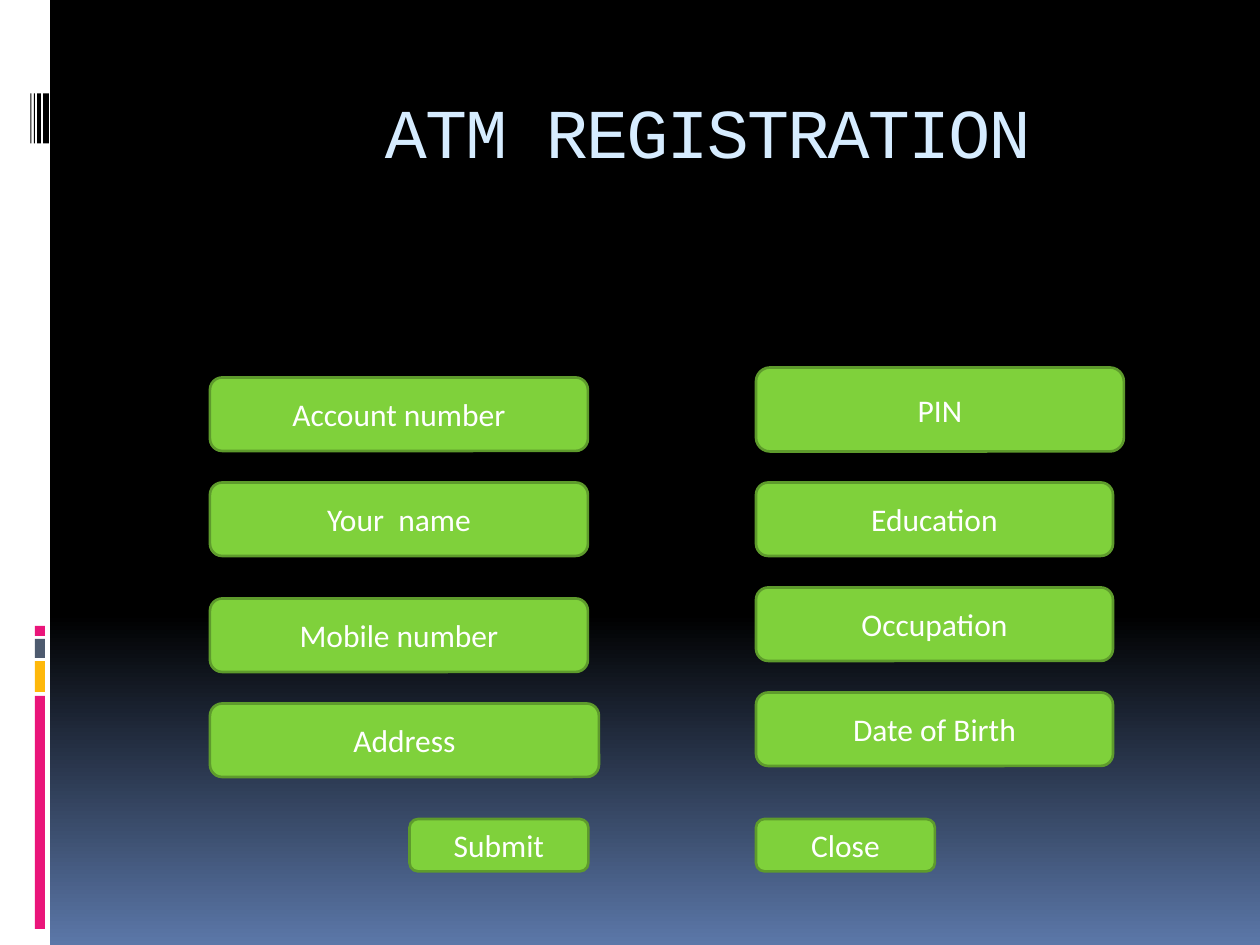
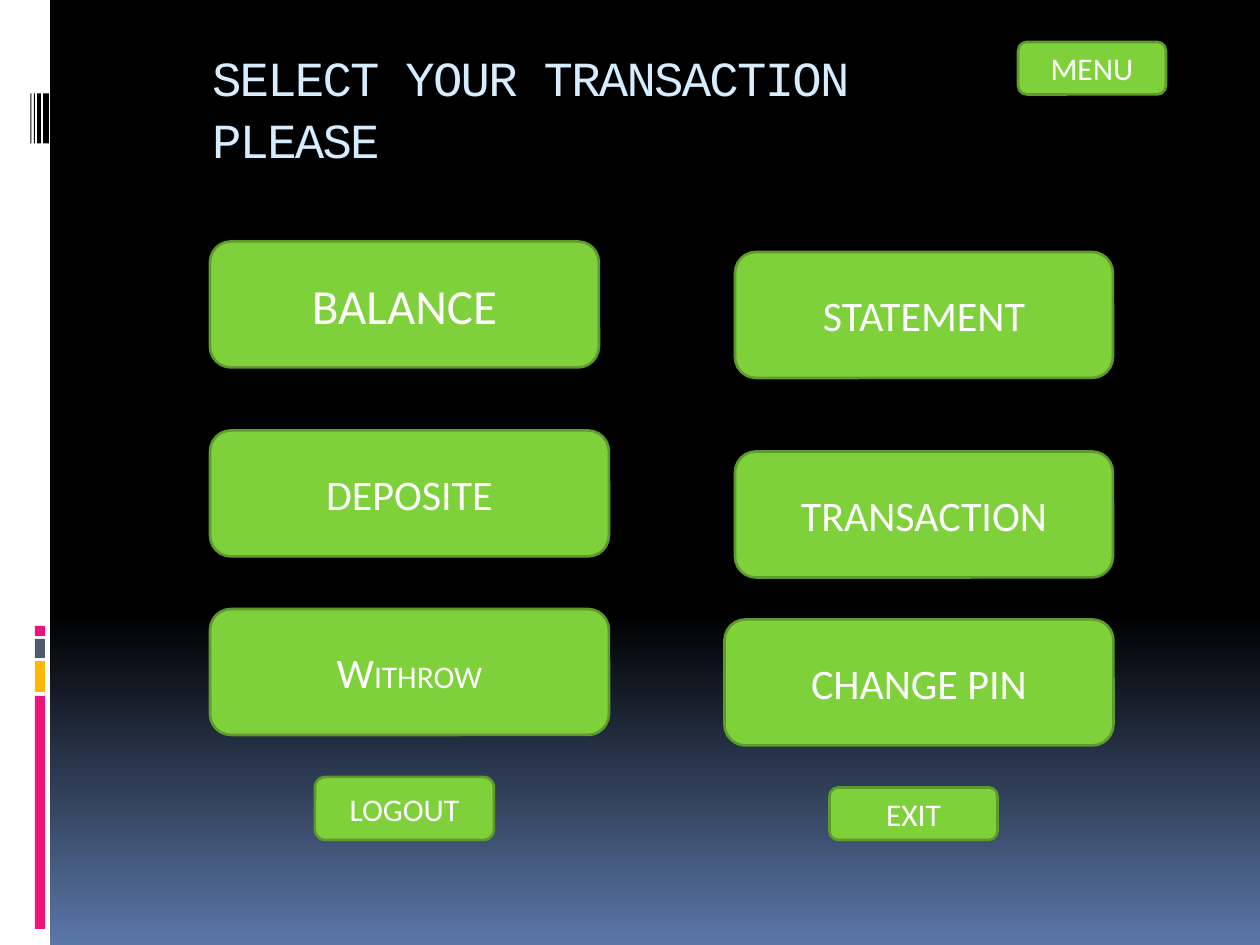
from pptx import Presentation
from pptx.dml.color import RGBColor
from pptx.enum.shapes import MSO_SHAPE
from pptx.enum.text import MSO_ANCHOR, PP_ALIGN
from pptx.util import Pt

PIXEL = 914400 / 126
SLIDE_WIDTH, SLIDE_HEIGHT = 1260, 945

BLACK = RGBColor(0x00, 0x00, 0x00)
WHITE = RGBColor(0xFF, 0xFF, 0xFF)
DUSK_BLUE = RGBColor(0x5B, 0x77, 0xA8)
PINK = RGBColor(0xEA, 0x15, 0x7A)
AMBER = RGBColor(0xFE, 0xB8, 0x0A)
SLATE = RGBColor(0x4E, 0x5B, 0x6F)
GREEN = RGBColor(0x7F, 0xD1, 0x3B)
DARK_GREEN = RGBColor(0x5E, 0x9B, 0x2C)
PALE_BLUE = RGBColor(0xD6, 0xEC, 0xFF)

TITLE_FONT = "Courier New"
BUTTON_FONT = "Calibri"


def emu(*pixels):
    """Turn pixel lengths into whole EMU values."""
    return [round(pixel * PIXEL) for pixel in pixels]


def apply_format(target, values):
    """Set each attribute named in a dict of format values."""
    for name, value in values.items():
        setattr(target, name, value)


def add_run(paragraph, text, font_name, size, color):
    """Append one formatted run to a paragraph."""
    run = paragraph.add_run()
    run.text = text
    apply_format(run.font, {"name": font_name, "size": Pt(size)})
    run.font.color.rgb = color
    return run


def add_block(slide, kind, box, color):
    """Add a flat shape without outline or shadow."""
    shape = slide.shapes.add_shape(kind, *emu(*box))
    shape.shadow.inherit = False
    shape.fill.solid()
    shape.fill.fore_color.rgb = color
    shape.line.fill.background()
    return shape


def add_sidebar(slide, left, top, height):
    """Draw the white band with its barcode and coloured bars."""
    add_block(slide, MSO_SHAPE.RECTANGLE, (left, top, 50, height), WHITE)
    for offset, bar_height, color in (
        (696, 233, PINK), (661, 31, AMBER), (639, 19, SLATE), (626, 10, PINK)
    ):
        box = (left + 35, top + offset, 10, bar_height)
        add_block(slide, MSO_SHAPE.RECTANGLE, box, color)
    for offset, width in ((43, 6), (37, 4), (34, 1), (30.5, 1)):
        box = (left + offset, top + 93.5, width, 50)
        add_block(slide, MSO_SHAPE.RECTANGLE, box, BLACK)


def add_title(slide, box, text, size, indent):
    """Write the slide title, set in from the left of its box."""
    frame = slide.shapes.add_textbox(*emu(*box)).text_frame
    margin_left, margin_top = emu(indent, 13)
    apply_format(frame, {
        "word_wrap": True,
        "vertical_anchor": MSO_ANCHOR.TOP,
        "margin_left": margin_left,
        "margin_top": margin_top,
    })
    paragraph = frame.paragraphs[0]
    paragraph.line_spacing = 1.06
    run = add_run(paragraph, text, TITLE_FONT, size, PALE_BLUE)
    run.font._element.set("spc", "-100")


def add_button(slide, box, *parts):
    """Add a green rounded button whose label is (text, size) parts."""
    shape = add_block(slide, MSO_SHAPE.ROUNDED_RECTANGLE, box, GREEN)
    shape.line.color.rgb = DARK_GREEN
    shape.line.width = Pt(1.5)
    apply_format(shape.text_frame, {
        "word_wrap": True, "vertical_anchor": MSO_ANCHOR.MIDDLE
    })
    paragraph = shape.text_frame.paragraphs[0]
    paragraph.alignment = PP_ALIGN.CENTER
    for text, size in parts:
        add_run(paragraph, text, BUTTON_FONT, size, WHITE)


def add_base_slide(presentation):
    """Add a blank slide with the shared background and sidebar."""
    slide = presentation.slides.add_slide(presentation.slide_layouts[6])
    fill = slide.background.fill
    fill.gradient()
    fill.gradient_angle = 270
    for stop, position, color in zip(
        fill.gradient_stops, (0.65, 1.0), (BLACK, DUSK_BLUE)
    ):
        stop.position = position
        stop.color.rgb = color
    add_sidebar(slide, 0, 0, SLIDE_HEIGHT)
    return slide


def add_registration_form(slide, left, top):
    """Place the two columns of fields and the form's two actions."""
    row_height, row_pitch, right = 73.5, 105, 546
    for label, offset, width in (
        ("Account number", 10, 378),
        ("Your  name", 115, 378),
        ("Mobile number", 231, 378),
        ("Address", 336, 389),
    ):
        add_button(slide, (left, top + offset, width, row_height), (label, 18))
    add_button(slide, (left + right, top, 368, 84), ("PIN", 18))
    for row, label in enumerate(("Education", "Occupation", "Date of Birth"), 1):
        box = (left + right, top + 10 + row * row_pitch, 357, row_height)
        add_button(slide, box, (label, 18))
    for label, offset in (("Submit", 199.5), ("Close", right)):
        add_button(slide, (left + offset, top + 451.5, 179, 52.5), (label, 18))


def add_transaction_menu(slide, left, top):
    """Place the six transaction buttons and the two leaving buttons."""
    for offset, drop, width, *parts in (
        (0, 0, 389, ("BALANCE", 28)),
        (525, 10.5, 378, ("STATEMENT", 24)),
        (0, 189, 399, ("DEPOSITE", 24)),
        (525, 210, 378, ("TRANSACTION", 24)),
        (0, 367.5, 399, ("W", 24), ("ITHROW", 18)),
        (514.5, 378, 389, ("CHANGE PIN", 24)),
    ):
        add_button(slide, (left + offset, top + drop, width, 126), *parts)
    add_button(slide, (left + 105, top + 535.5, 179, 63), ("LOGOUT", 18))
    add_button(slide, (left + 619.5, top + 546, 168, 52.5), ("EXIT", 18))


def build_registration_slide(presentation):
    """Build the registration slide."""
    slide = add_base_slide(presentation)
    add_title(slide, (126, 71, 1071, 126), "ATM REGISTRATION", 40, 259)
    add_registration_form(slide, 210, 367.5)


def build_transaction_slide(presentation):
    """Build the transaction choice slide."""
    slide = add_base_slide(presentation)
    add_title(slide, (199, 31, 788, 87), "SELECT YOUR TRANSACTION PLEASE", 28, 13)
    add_button(slide, (1018, 42, 148, 52.5), ("MENU", 18))
    add_transaction_menu(slide, 210, 241.5)


def main():
    """Build and save the presentation."""
    presentation = Presentation()
    width, height = emu(SLIDE_WIDTH, SLIDE_HEIGHT)
    apply_format(presentation, {"slide_width": width, "slide_height": height})
    build_registration_slide(presentation)
    build_transaction_slide(presentation)
    presentation.save("out.pptx")


main()
